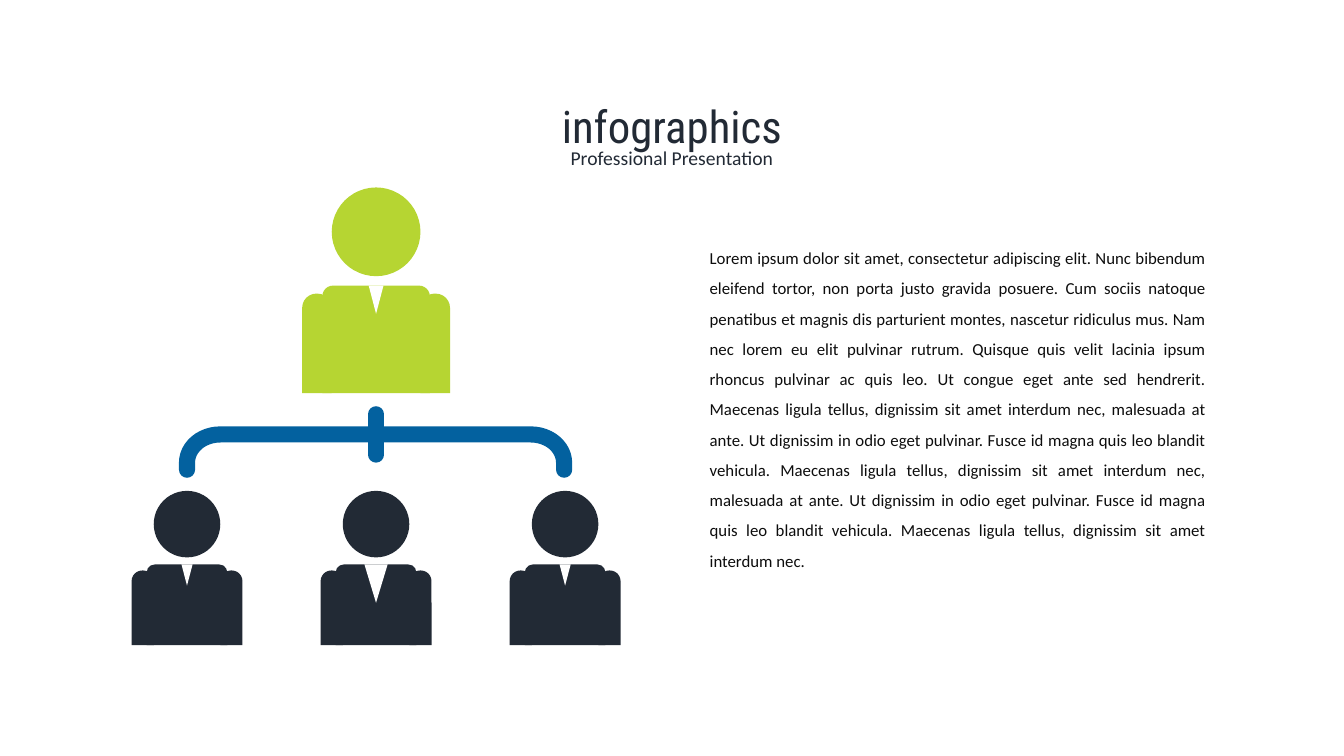
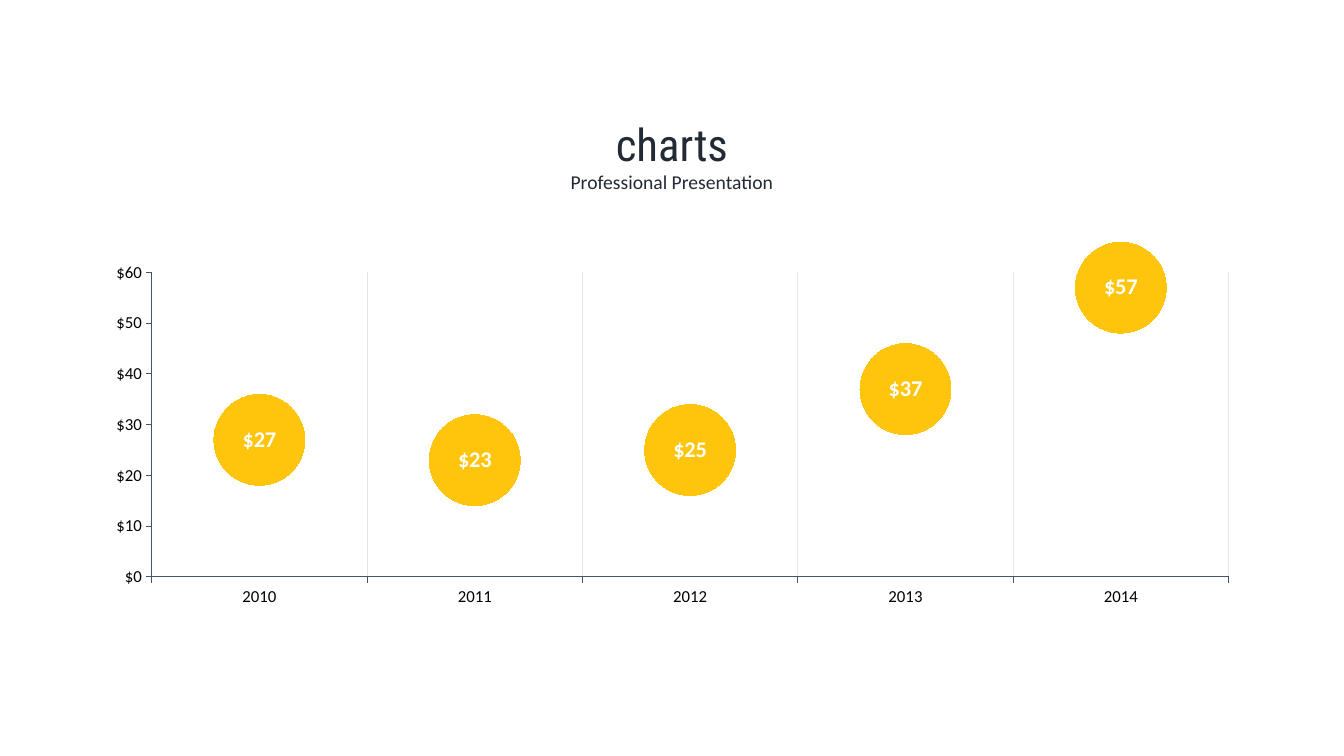
from math import cos, pi, sin

from lxml.etree import SubElement
from pptx import Presentation
from pptx.chart.data import CategoryChartData
from pptx.dml.color import RGBColor
from pptx.enum.chart import XL_LABEL_POSITION, XL_MARKER_STYLE, XL_TICK_MARK
from pptx.enum.shapes import MSO_CONNECTOR, MSO_SHAPE
from pptx.enum.text import PP_ALIGN
from pptx.oxml.ns import qn
from pptx.util import Inches, Pt

NAVY, LIME, BLUE, GOLD = "222A35", "B6D532", "03619F", "FFC50C"
WHITE, BLACK, INK, SLATE, GRAY = "FFFFFF", "000000", "0D0D0D", "44546A", "E7E6E6"
HEAD, BODY = "Roboto Condensed", "Calibri"
MONEY = "[$$-C09]#,##0"

LOREM = (
    "Lorem ipsum dolor sit amet, consectetur adipiscing elit. Nunc bibendum "
    "eleifend tortor, non porta justo gravida posuere. Cum sociis natoque "
    "penatibus et magnis dis parturient montes, nascetur ridiculus mus. Nam nec "
    "lorem eu elit pulvinar rutrum. Quisque quis velit lacinia ipsum rhoncus "
    "pulvinar ac quis leo. Ut congue eget ante sed hendrerit. Maecenas ligula "
    "tellus, dignissim sit amet interdum nec, malesuada at ante. Ut dignissim in "
    "odio eget pulvinar. Fusce id magna quis leo blandit vehicula. Maecenas "
    "ligula tellus, dignissim sit amet interdum nec, malesuada at ante. Ut "
    "dignissim in odio eget pulvinar. Fusce id magna quis leo blandit vehicula. "
    "Maecenas ligula tellus, dignissim sit amet interdum nec."
)


def color(code):
    return RGBColor.from_string(code)


class Deck:
    def __init__(self):
        self.file = Presentation()
        self.file.slide_width = Inches(13.33)
        self.file.slide_height = Inches(7.5)
        self.slide = None

    def page(self, title, top, gap):
        self.slide = self.file.slides.add_slide(self.file.slide_layouts[6])
        self.text(title, (0.88, top, 11.57, 0.64), 32, NAVY, HEAD)
        self.text("Professional Presentation", (0.88, top + gap, 11.57, 0.34), 14, NAVY)

    def text(self, words, area, size, tint, face=BODY, align=PP_ALIGN.CENTER, space=1.0):
        box = self.slide.shapes.add_textbox(*map(Inches, area))
        box.text_frame.word_wrap = True
        para = box.text_frame.paragraphs[0]
        para.alignment = align
        para.line_spacing = space
        run = para.add_run()
        run.text = words
        self.style(run.font, size, tint, face)

    def style(self, font, size, tint, face=BODY, bold=False):
        font.size = Pt(size)
        font.name = face
        font.bold = bold
        font.color.rgb = color(tint)

    def shape(self, kind, area, tint, round_by=None):
        item = self.slide.shapes.add_shape(kind, *map(Inches, area))
        item.shadow.inherit = False
        item.fill.solid()
        item.fill.fore_color.rgb = color(tint)
        item.line.fill.background()
        if round_by is not None:
            item.adjustments[0] = round_by

    def person(self, mid, top, tint, collar, scale=1.0):
        def part(kind, left, down, wide, high, fill=tint, round_by=None):
            area = (mid + left * scale, top + down * scale, wide * scale, high * scale)
            self.shape(kind, area, fill, round_by)

        coat = MSO_SHAPE.ROUND_2_SAME_RECTANGLE
        wide, high = collar
        part(coat, -0.4, 0.73, 0.8, 0.8, round_by=0.1)
        part(MSO_SHAPE.OVAL, -0.33, 0, 0.66, 0.66)
        for left in (-0.55, 0.33):
            part(coat, left, 0.79, 0.22, 0.74, round_by=0.48)
        part(MSO_SHAPE.FLOWCHART_MERGE, -wide / 2, 0.73, wide, high, WHITE)

    def stroke(self, item, tint, width):
        item.line.color.rgb = color(tint)
        item.line.width = Pt(width)
        item.line._get_or_add_ln().set("cap", "rnd")

    def bracket(self, left, right, top, low, tint, width):
        wide, high = 0.33, 0.28
        turn = [pi / 2 * step / 12 for step in range(13)]
        bend = [(wide * (1 - cos(a)), high * (1 - sin(a))) for a in turn]
        dots = [(left, low)] + [(left + x, top + y) for x, y in bend]
        dots += [(left + right - x, y) for x, y in reversed(dots)]
        dots = [(Inches(x), Inches(y)) for x, y in dots]
        pen = self.slide.shapes.build_freeform(*dots[0])
        pen.add_line_segments(dots[1:], close=False)
        item = pen.convert_to_shape()
        item.shadow.inherit = False
        item.fill.background()
        self.stroke(item, tint, width)

    def post(self, x, top, low, tint, width):
        ends = map(Inches, (x, top, x, low))
        item = self.slide.shapes.add_connector(MSO_CONNECTOR.STRAIGHT, *ends)
        self.stroke(item, tint, width)
        SubElement(item._element.spPr, qn("a:effectLst"))

    def axis(self, axis):
        axis.major_tick_mark = XL_TICK_MARK.OUTSIDE
        axis.minor_tick_mark = XL_TICK_MARK.NONE
        axis.format.line.color.rgb = color(SLATE)
        axis.format.line.width = Pt(0.75)
        self.style(axis.tick_labels.font, 12, BLACK)

    def place(self, chart, frame):
        plot = chart._chartSpace.chart.plotArea
        for old in plot.findall(qn("c:layout")):
            plot.remove(old)
        layout = SubElement(plot, qn("c:layout"))
        plot.insert(0, layout)
        manual = SubElement(layout, qn("c:manualLayout"))
        rules = [("layoutTarget", "inner"), ("xMode", "edge"), ("yMode", "edge")]
        for name, value in rules + list(zip("xywh", frame)):
            SubElement(manual, qn("c:" + name)).set("val", str(value))

    def bubbles(self, area, names, values, frame):
        data = CategoryChartData(number_format=MONEY)
        data.categories = names
        data.add_series("Series 1", values)
        kind = XL_CHART_TYPE.LINE_MARKERS
        chart = self.slide.shapes.add_chart(kind, *map(Inches, area), data).chart
        chart.has_legend = False
        chart.has_title = False
        self.style(chart.font, 18, BLACK)
        years, money = chart.category_axis, chart.value_axis
        self.axis(years)
        self.axis(money)
        years.has_major_gridlines = True
        grid = years.major_gridlines.format.line
        grid.color.rgb = color(GRAY)
        grid.width = Pt(0.75)
        money.has_major_gridlines = False
        money.minimum_scale, money.maximum_scale, money.major_unit = 0, 60, 10
        money.tick_labels.number_format = MONEY
        money.tick_labels.number_format_is_linked = False
        chart.plots[0].vary_by_categories = False
        line = chart.plots[0].series[0]
        line.smooth = False
        line.format.line.fill.background()
        line.marker.style = XL_MARKER_STYLE.CIRCLE
        line.marker.size = 65
        line.marker.format.fill.solid()
        line.marker.format.fill.fore_color.rgb = color(GOLD)
        line.marker.format.line.fill.background()
        labels = line.data_labels
        labels.show_value = True
        labels.position = XL_LABEL_POSITION.CENTER
        labels.number_format = MONEY
        labels.number_format_is_linked = False
        self.style(labels.font, 16, WHITE, bold=True)
        self.place(chart, frame)


def team(deck):
    deck.page("infographics", 0.93, 0.47)
    mid, step = 3.73, 1.875
    small, large = (0.11, 0.21), (0.23, 0.38)
    for spot, collar in zip((-1, 0, 1), (small, large, small)):
        deck.person(mid + spot * step, 4.87, NAVY, collar)
    deck.person(mid, 1.86, LIME, small, 4 / 3)
    deck.bracket(mid - step, mid + step - 0.01, 4.31, 4.66, BLUE, 11.5)
    deck.post(mid, 4.11, 4.51, BLUE, 11.5)
    deck.text(LOREM, (6.94, 2.31, 5.12, 3.43), 12, INK, align=PP_ALIGN.JUSTIFY, space=1.5)


def sales(deck):
    deck.page("charts", 1.11, 0.53)
    years = [str(year) for year in range(2010, 2015)]
    frame = (0.105, 0.103, 0.967, 0.812)
    deck.bubbles((1.14, 2.32, 11.05, 3.72), years, (27, 23, 25, 37, 57), frame)


def main():
    deck = Deck()
    team(deck)
    sales(deck)
    deck.file.save("out.pptx")


from pptx.enum.chart import XL_CHART_TYPE

if __name__ == "__main__":
    main()
